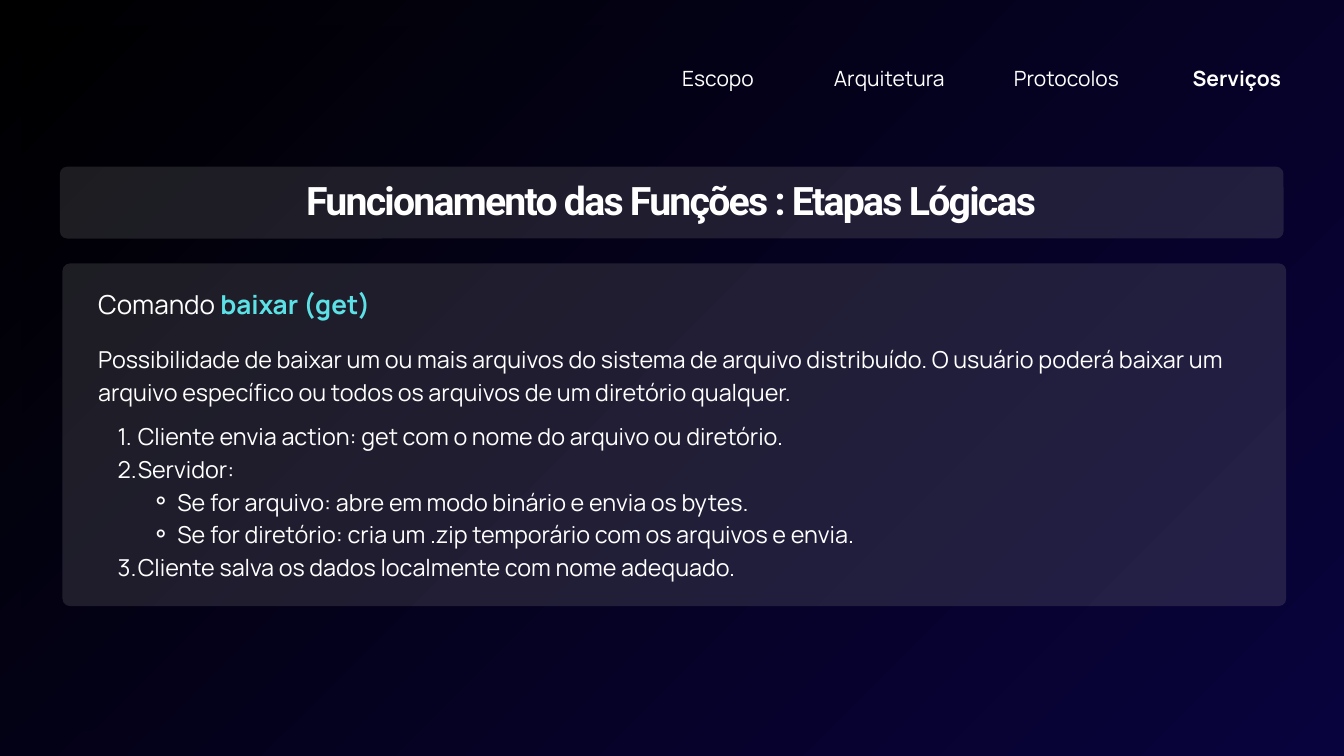
from lxml import etree
from pptx import Presentation
from pptx import util as u
from pptx.dml.color import RGBColor
from pptx.enum import shapes, text
from pptx.oxml.ns import qn

WIDTH, HEIGHT = 20, 11.25
COLUMN, ROW = WIDTH / 100, HEIGHT / 100  # grid of 100 columns by 100 rows
CORNER = 0.11  # corner radius of the panels, inches
WHITE, CYAN, GREY = "FFFFFF", "5CE1E6", "858585"
BLACK, NAVY = "000000", "09033D"
ALIGN = text.PP_ALIGN

# Label, offset and width in columns, alignment, bold
TABS = [
    ("Escopo", 0, 6.1, ALIGN.RIGHT, False),
    ("Arquitetura", 10.75, 9.55, ALIGN.RIGHT, False),
    ("Protocolos", 24.95, 8.8, ALIGN.CENTER, False),
    ("Serviços", 38.35, 7.35, ALIGN.CENTER, True),
]
INTRO = (
    "Possibilidade de baixar um ou mais arquivos do sistema de arquivo distribuído. "
    "O usuário poderá baixar um arquivo específico ou todos os arquivos de um diretório qualquer."
)
# Level and text
STEPS = [
    (1, "Cliente envia action: get com o nome do arquivo ou diretório."),
    (1, "Servidor:"),
    (2, "Se for arquivo: abre em modo binário e envia os bytes."),
    (2, "Se for diretório: cria um .zip temporário com os arquivos e envia."),
    (1, "Cliente salva os dados localmente com nome adequado."),
]
# Level: left margin, indent, bullet element, its attribute and value
BULLETS = {
    0: (0, 0, "a:buNone", None, None),
    1: (0.59, -0.3, "a:buAutoNum", "type", "arabicPeriod"),
    2: (1.18, -0.39, "a:buChar", "char", "⚬"),
}


def color(value):
    return RGBColor.from_string(value)


def place(column, row, columns, rows):
    return (u.Inches(column * COLUMN), u.Inches(row * ROW),
            u.Inches(columns * COLUMN), u.Inches(rows * ROW))


def set_alpha(element, percent):
    for rgb in element.iter(qn("a:srgbClr")):
        etree.SubElement(rgb, qn("a:alpha"), val=str(percent * 1000))


def set_radial(fill, element):
    """Black to navy, radial."""
    fill.gradient()
    for stop, value, position in zip(fill.gradient_stops, (BLACK, NAVY), (0, 1)):
        stop.color.rgb = color(value)
        stop.position = position
    gradient = next(element.iter(qn("a:gradFill")))
    gradient.remove(gradient.find(qn("a:lin")))
    path = etree.SubElement(gradient, qn("a:path"), attrib={"path": "circle"})
    etree.SubElement(path, qn("a:fillToRect"), l="0", t="0", r="100000", b="100000")


def add_panel(slide, box):
    panel = slide.shapes.add_shape(shapes.MSO_SHAPE.ROUNDED_RECTANGLE, *place(*box))
    panel.adjustments[0] = u.Inches(CORNER) / min(panel.width, panel.height)
    panel.shadow.inherit = False
    panel.line.fill.background()
    panel.fill.solid()
    panel.fill.fore_color.rgb = color(GREY)
    return panel


def prepare_frame(shape):
    frame = shape.text_frame
    frame.margin_left = frame.margin_top = frame.margin_right = frame.margin_bottom = 0
    frame.word_wrap = True
    frame.auto_size = text.MSO_AUTO_SIZE.NONE
    frame.vertical_anchor = text.MSO_ANCHOR.TOP
    return frame


def format_paragraph(paragraph, spacing, before=0, align=ALIGN.LEFT):
    paragraph.alignment = align
    paragraph.line_spacing = u.Pt(spacing)
    paragraph.space_before = u.Pt(before)
    paragraph.space_after = u.Pt(0)


def format_run(run, size, bold=False, value=WHITE, font="Manrope"):
    run.font.name = font
    run.font.size = u.Pt(size)
    run.font.bold = bold
    run.font.color.rgb = color(value)


def set_bullet(paragraph, level):
    margin, indent, tag, attribute, value = BULLETS[level]
    paragraph.level = level
    properties = paragraph.runs[0].font._element.getparent().getparent().get_or_add_pPr()
    properties.set("marL", str(u.Inches(margin)))
    properties.set("indent", str(u.Inches(indent)))
    bullet = etree.SubElement(properties, qn(tag))
    if attribute:
        bullet.set(attribute, value)


def move_placeholder(shape, box):
    """Place the placeholder and bring it in front of the panels."""
    shape.left, shape.top, shape.width, shape.height = place(*box)
    shape.element.getparent().append(shape.element)


def build_background(slide, box):
    set_radial(slide.background.fill, slide.element)
    frame = add_panel(slide, box)
    set_radial(frame.fill, frame.element)
    set_alpha(frame.element.spPr, 22)


def build_command(slide, box):
    column, row, columns, rows = box
    set_alpha(add_panel(slide, box).element.spPr, 22)
    body = slide.placeholders[1]
    move_placeholder(body, (column + 2.65, row + 2.67, columns - 3.95, rows - 6.4))
    frame = prepare_frame(body)

    # Heading
    heading = frame.paragraphs[0]
    for words, value, bold in (("Comando ", WHITE, False), ("baixar (get)", CYAN, True)):
        run = heading.add_run()
        run.text = words
        format_run(run, 28, bold, value)
    format_paragraph(heading, 39.2)
    set_bullet(heading, 0)

    # Introduction and steps
    gaps = {0: 22.1, 1: 12.5}
    for index, (level, words) in enumerate([(0, INTRO)] + STEPS):
        paragraph = frame.add_paragraph()
        paragraph.text = words
        format_paragraph(paragraph, 35, gaps.get(index, 0))
        format_run(paragraph.runs[0], 25)
        set_bullet(paragraph, level)


def build_title(slide, box):
    column, row, columns, rows = box
    set_alpha(add_panel(slide, box).element.spPr, 22)
    title = slide.shapes.title
    move_placeholder(title, (column - 0.05, row + 2.23, columns, rows - 3.47))
    frame = prepare_frame(title)
    frame.text = "Funcionamento das Funções : Etapas Lógicas"
    paragraph = frame.paragraphs[0]
    format_paragraph(paragraph, 42.8, align=ALIGN.CENTER)
    format_run(paragraph.runs[0], 42, True, font="Roboto")
    paragraph.runs[0].font._element.set("spc", "-190")


def build_navigation(slide, box):
    column, row, _, rows = box
    for label, offset, columns, align, bold in TABS:
        tab = slide.shapes.add_textbox(*place(column + offset, row, columns, rows))
        frame = prepare_frame(tab)
        frame.text = label
        format_paragraph(frame.paragraphs[0], 31.5, align=align)
        format_run(frame.paragraphs[0].runs[0], 22.5, bold)


def main():
    presentation = Presentation()
    presentation.slide_width, presentation.slide_height = u.Inches(WIDTH), u.Inches(HEIGHT)
    slide = presentation.slides.add_slide(presentation.slide_layouts[1])
    build_background(slide, (1.6, 3.38, 96.75, 93.24))
    build_command(slide, (4.65, 34.84, 91.05, 45.33))
    build_title(slide, (4.45, 22.04, 91.05, 9.51))
    build_navigation(slide, (50, 8.09, 45.7, 4))
    presentation.save("out.pptx")


if __name__ == "__main__":
    main()
